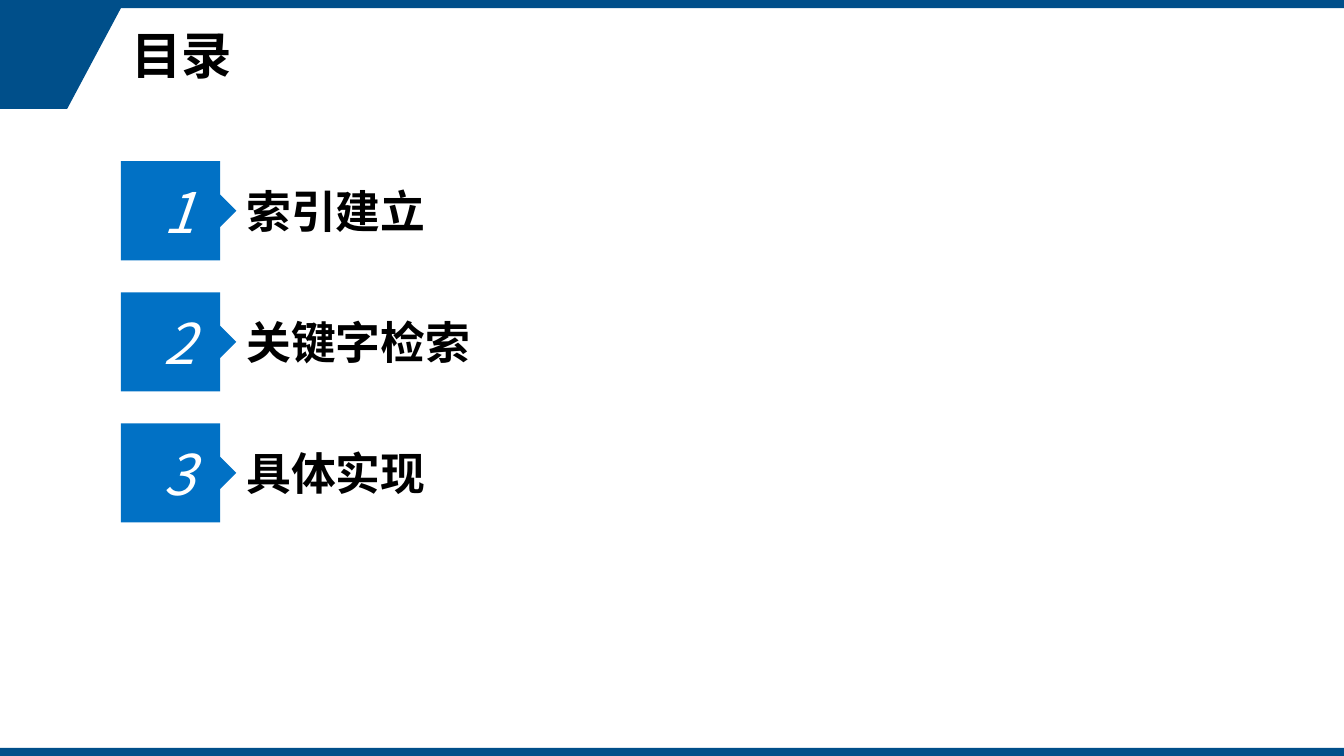
from dataclasses import dataclass

from lxml.etree import SubElement
from pptx import Presentation
from pptx.dml.color import RGBColor
from pptx.enum.shapes import MSO_SHAPE as Preset
from pptx.enum.text import MSO_ANCHOR as Anchor, MSO_AUTO_SIZE as AutoSize, PP_ALIGN as Align
from pptx.oxml.ns import qn
from pptx.util import Pt

TITLE = "目录"
CHAPTERS = [("索引建立", 144), ("关键字检索", 176.4), ("具体实现", 144)]  # label, width


@dataclass(frozen=True)
class Theme:
    font: str = "Noto Sans CJK SC"
    navy: RGBColor = RGBColor(0x00, 0x4F, 0x8A)
    blue: RGBColor = RGBColor(0x01, 0x71, 0xC5)
    white: RGBColor = RGBColor(0xFF, 0xFF, 0xFF)
    black: RGBColor = RGBColor(0x00, 0x00, 0x00)
    title_size: int = 36
    label_size: int = 32
    number_size: int = 40


THEME = Theme()
SLIDE_WIDTH, SLIDE_HEIGHT = 960, 540
BAR_HEIGHT = 5.8
MARGIN_LEFT = 86.4
CORNER_HEIGHT, CORNER_FOOT = 72, 48
FIRST_TOP, ROW_PITCH = 115.2, 93.6
TAG_SIDE, POINTER = 70.8, 11.6
LABEL_HEIGHT = 46


def paint(shape, color):
    shape.shadow.inherit = False
    shape.fill.solid()
    shape.fill.fore_color.rgb = color
    shape.line.fill.background()


def add_bar(slide, top):
    bar = slide.shapes.add_shape(
        Preset.RECTANGLE, Pt(0), Pt(top), Pt(SLIDE_WIDTH), Pt(BAR_HEIGHT))
    paint(bar, THEME.navy)


def add_outline(slide, points, color):
    start, *rest = [(Pt(x), Pt(y)) for x, y in points]
    builder = slide.shapes.build_freeform(*start)
    builder.add_line_segments(rest, close=True)
    shape = builder.convert_to_shape()
    paint(shape, color)
    return shape


def write(shape, text, size, color, align=Align.LEFT, bold=False, italic=False):
    paragraph = shape.text_frame.paragraphs[0]
    paragraph.alignment = align
    run = paragraph.add_run()
    run.text = text
    font = run.font
    font.name, font.size = THEME.font, Pt(size)
    font.bold, font.italic = bold, italic
    font.color.rgb = color
    SubElement(run._r.get_or_add_rPr(), qn("a:ea")).set("typeface", THEME.font)
    return paragraph


def add_chapter(slide, number, label, label_width):
    left, top = MARGIN_LEFT, FIRST_TOP + (number - 1) * ROW_PITCH
    right, bottom = left + TAG_SIDE, top + TAG_SIDE
    middle, tip = top + TAG_SIDE / 2, right + POINTER
    tag = add_outline(slide, [
        (left, top), (right, top), (right, middle - POINTER), (tip, middle),
        (right, middle + POINTER), (right, bottom), (left, bottom)], THEME.blue)
    tag.text_frame.vertical_anchor = Anchor.MIDDLE
    write(tag, str(number), THEME.number_size, THEME.white, Align.CENTER, italic=True)

    box = slide.shapes.add_textbox(
        Pt(tip), Pt(middle - LABEL_HEIGHT / 2), Pt(label_width), Pt(LABEL_HEIGHT))
    box.text_frame.word_wrap = False
    box.text_frame.auto_size = AutoSize.SHAPE_TO_FIT_TEXT
    write(box, label, THEME.label_size, THEME.black, bold=True)


def set_title(slide):
    title = slide.shapes.title
    title.left, title.top = Pt(MARGIN_LEFT), Pt(BAR_HEIGHT)
    title.width, title.height = Pt(808), Pt(CORNER_HEIGHT)
    title.text_frame.vertical_anchor = Anchor.MIDDLE
    paragraph = write(title, TITLE, THEME.title_size, THEME.black, bold=True)
    paragraph.line_spacing = 0.9


def main():
    presentation = Presentation()
    presentation.slide_width, presentation.slide_height = Pt(SLIDE_WIDTH), Pt(SLIDE_HEIGHT)
    slide = presentation.slides.add_slide(presentation.slide_layouts[5])

    add_bar(slide, SLIDE_HEIGHT - BAR_HEIGHT)
    corner_bottom = BAR_HEIGHT + CORNER_HEIGHT
    add_outline(slide, [
        (0, BAR_HEIGHT), (MARGIN_LEFT, BAR_HEIGHT),
        (CORNER_FOOT, corner_bottom), (0, corner_bottom)], THEME.navy)
    add_bar(slide, 0)
    set_title(slide)
    for number, (label, label_width) in enumerate(CHAPTERS, start=1):
        add_chapter(slide, number, label, label_width)

    presentation.save("out.pptx")


if __name__ == "__main__":
    main()
